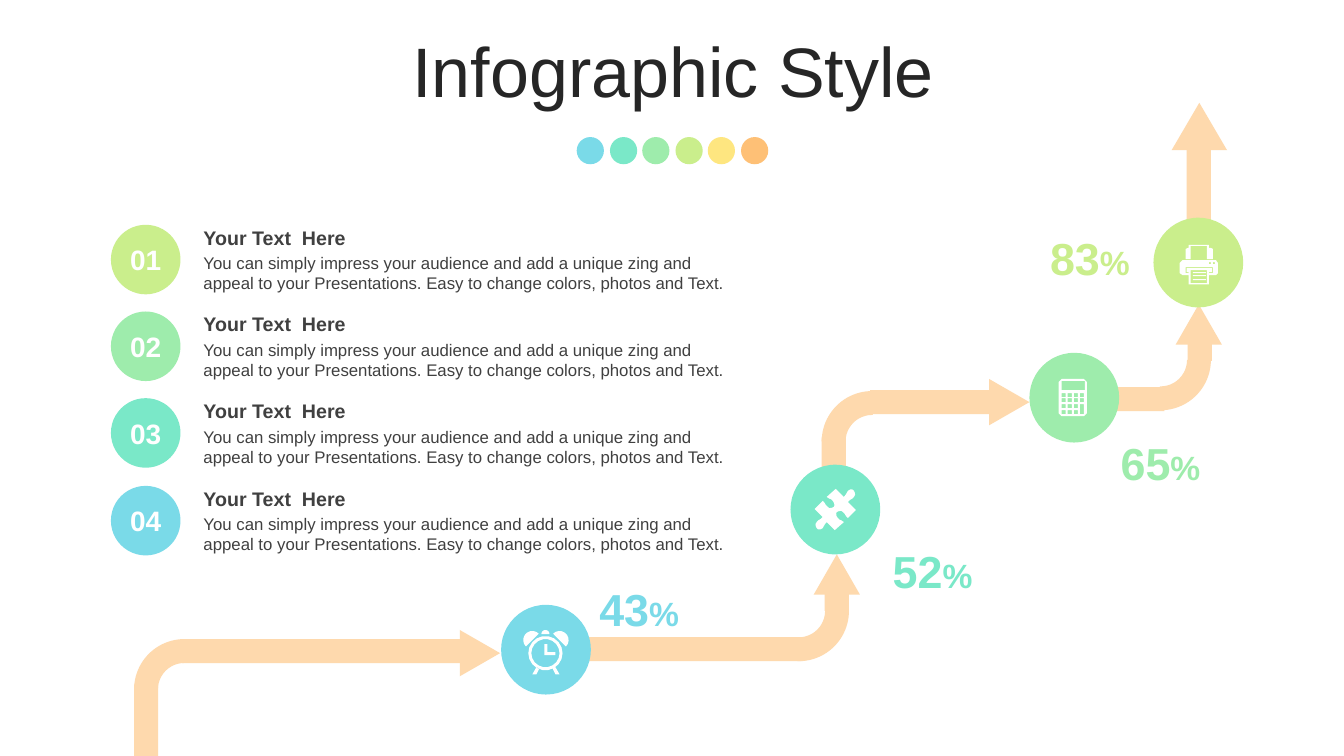
"""Build the infographic slide with a stepped arrow path and four text rows."""
from math import cos, radians, sin

from pptx import Presentation
from pptx.dml.color import RGBColor
from pptx.enum.shapes import MSO_SHAPE as Kind
from pptx.enum.text import MSO_ANCHOR as Anchor, MSO_AUTO_SIZE as Fit, PP_ALIGN as Align
from pptx.util import Pt

PX = 9144
BLUE, TEAL, GREEN, LIME = "7ADAE8", "7AE8C8", "9EECAC", "CAEE8C"
YELLOW, ORANGE, PEACH = "FEE680", "FEC076", "FED9AD"
WHITE, GREY, DARK = "FFFFFF", "404040", "262626"
HEAD = "Your Text  Here"
BODY = ("You can simply impress your audience and add a unique zing and "
        "appeal to your Presentations. Easy to change colors, photos and Text.")


def paint(shape, color):
    """Give a shape a flat fill without line or shadow."""
    shape.shadow.inherit = False
    shape.fill.solid()
    shape.fill.fore_color.rgb = RGBColor.from_string(color)
    shape.line.fill.background()


def draw(slide, kind, box, color, turn=0):
    """Add a flat preset shape."""
    shape = slide.shapes.add_shape(kind, *(n * PX for n in box))
    shape.rotation = turn
    paint(shape, color)
    return shape


def disc(slide, left, top, size, color):
    """Add a filled circle."""
    return draw(slide, Kind.OVAL, (left, top, size, size), color)


def bend(slide, left, top, turn=0):
    """Add a quarter turn of the path."""
    shape = draw(slide, Kind.BLOCK_ARC, (left, top, 100, 100), PEACH, turn)
    for i, value in enumerate((108, 162.854, 0.237)):
        shape.adjustments[i] = value


def write(frame, *parts, color=GREY, bold=False, align=Align.LEFT):
    """Fill a text frame with one paragraph of (text, size) parts."""
    frame.word_wrap = True
    para = frame.paragraphs[0]
    para.alignment = align
    for text, size in parts:
        run = para.add_run()
        run.text = text
        run.font.name = "Arial"
        run.font.size = Pt(size)
        run.font.bold = bold
        run.font.color.rgb = RGBColor.from_string(color)
    return para


def label(slide, box, *parts, **style):
    """Add a text box."""
    frame = slide.shapes.add_textbox(*(n * PX for n in box)).text_frame
    write(frame, *parts, **style)
    frame.auto_size = Fit.SHAPE_TO_FIT_TEXT


def arc(x, y, size, start=0, end=360):
    """Return points along a circle."""
    steps = (end - start) // 20
    turns = [radians(start + (end - start) * i / steps) for i in range(steps + 1)]
    return [(x + size * cos(a), y + size * sin(a)) for a in turns]


def quad(left, top, wide, high):
    """Return the corners of a box."""
    right, low = left + wide, top + high
    return [(left, top), (right, top), (right, low), (left, low)]


def trace(nodes):
    """Return points along line ends and cubic curves."""
    points = []
    for node in nodes:
        if len(node) == 2:
            points.append(node)
            continue
        curve = [points[-1], node[:2], node[2:4], node[4:]]
        for i in range(1, 4):
            t = i / 3
            mix = ((1 - t) ** 3, 3 * t * (1 - t) ** 2, 3 * t * t * (1 - t), t ** 3)
            points.append(tuple(sum(m * p[k] for m, p in zip(mix, curve))
                                for k in (0, 1)))
    return points


def icon(slide, loops):
    """Add a white outline made of closed loops."""
    loops = [[(x * PX, y * PX) for x, y in loop] for loop in loops]
    form = slide.shapes.build_freeform(*loops[0][0], scale=1.0)
    for i, loop in enumerate(loops):
        if i:
            form.move_to(*loop[0])
        form.add_line_segments(loop[1:], close=True)
    shape = form.convert_to_shape()
    paint(shape, WHITE)
    return shape


def clock(slide):
    """Draw the alarm clock."""
    hands = [(540, 639), (543, 639), (543, 647), (551, 647), (551, 650), (540, 650)]
    leg = [(535, 663), (532, 669), (528, 669), (532, 662)]
    icon(slide, [hands, arc(541, 648, 14), arc(541, 648, 17),
                 leg, [(1083 - x, y) for x, y in leg],
                 arc(528, 635, 9, 135, 315), arc(555, 635, 9, 225, 405),
                 arc(541, 629, 4, 180, 360)])


def adder(slide):
    """Draw the calculator."""
    keys = [quad(1053 + 6 * col, 390 + 17 * row // 3, 4, 4)
            for row in range(4) for col in range(4) if col < 3 or row < 2]
    case = [(1053, 376), (1075, 376), (1078, 379), (1078, 410), (1075, 413),
            (1053, 413), (1050, 410), (1050, 379)]
    icon(slide, [case, quad(1053, 378, 23, 9), quad(1071, 401, 4, 10), *keys])


def printer(slide):
    """Draw the printer."""
    lines = [quad(1183, y, 13, 1) for y in (270, 273, 277)]
    slot = [(1176, 265), (1176, 271), (1179, 271), (1179, 270), (1177, 270),
            (1177, 266), (1202, 266), (1202, 270), (1199, 270), (1199, 271),
            (1203, 271), (1203, 265)]
    case = [(1173, 258), (1206, 258), (1208, 261), (1208, 271), (1206, 273),
            (1199, 273), (1199, 282), (1179, 282), (1179, 273), (1173, 273),
            (1170, 271), (1170, 261)]
    feed = [(1179, 243), (1199, 243), (1199, 246), (1201, 246), (1203, 247),
            (1203, 257), (1197, 257), (1197, 244), (1181, 244), (1181, 257),
            (1176, 257), (1176, 247), (1178, 246), (1179, 246)]
    icon(slide, [*lines, quad(1181, 268, 16, 13), slot, quad(1203, 260, 2, 2),
                 quad(1199, 260, 2, 2), case, feed])


def puzzle(slide):
    """Draw the puzzle piece from one half and its half turn."""
    half = trace([(847, 487), (848, 489, 849, 491, 847, 493),
                  (845, 496, 843, 495, 841, 498), (849, 506), (841, 514),
                  (838, 512, 839, 510, 836, 508), (835, 506, 832, 507, 830, 508),
                  (829, 509, 829, 512, 831, 514), (833, 517, 834, 515, 837, 518),
                  (828, 526), (820, 518), (817, 521, 818, 521, 816, 524),
                  (814, 526, 811, 526, 810, 524)])
    mid_x, mid_y = 828.5, 505.5
    arms = [(x - mid_x, y - mid_y) for x, y in half]
    arms += [(-x, -y) for x, y in arms]
    tilt = cos(radians(45))
    loop = [(mid_x + (x + y) * tilt, mid_y + (y - x) * tilt) for x, y in arms]
    icon(slide, [loop]).rotation = 45


def main():
    """Build and save the slide."""
    deck = Presentation()
    deck.slide_width, deck.slide_height = 1333 * PX, 750 * PX
    slide = deck.slides.add_slide(deck.slide_layouts[5])

    title = slide.shapes.title
    title.left, title.top, title.width, title.height = (
        n * PX for n in (35, 37, 1266, 79))
    title.text_frame.auto_size = Fit.NONE
    title.text_frame.vertical_anchor = Anchor.MIDDLE
    para = write(title.text_frame, ("Infographic Style", 50), color=DARK,
                 align=Align.CENTER)
    para.line_spacing = 0.8

    for i, color in enumerate((BLUE, TEAL, GREEN, LIME, YELLOW, ORANGE)):
        disc(slide, (1145 + 65 * i) // 2, 136, 27, color)

    for bar in ((815, 434, 24, 31), (863, 387, 130, 24), (582, 632, 213, 24),
                (818, 578, 24, 28), (1177, 147, 24, 89), (133, 679, 24, 71),
                (181, 634, 276, 24), (1101, 384, 54, 24), (1178, 330, 24, 28)):
        draw(slide, Kind.RECTANGLE, bar, PEACH)
    for left, top, turn in ((815, 388, 0), (742, 556, 180), (133, 634, 0),
                            (1101, 307, 180)):
        bend(slide, left, top, turn)
    for left, top, turn in ((978, 379, 90), (807, 550, 0), (453, 628, 90),
                            (1166, 302, 0)):
        draw(slide, Kind.ISOSCELES_TRIANGLE, (left, top, 46, 40), PEACH, turn)
    draw(slide, Kind.ISOSCELES_TRIANGLE, (1162, 102, 55, 47), PEACH)

    for i, color in enumerate((LIME, GREEN, TEAL, BLUE)):
        drop = 259 * i // 3
        badge = disc(slide, 110, 223 + drop, 69, color).text_frame
        badge.margin_left = badge.margin_right = 0
        badge.vertical_anchor = Anchor.MIDDLE
        write(badge, (f"{i + 1:02}", 20), color=WHITE, bold=True,
              align=Align.CENTER)
        label(slide, (192, 219 + drop, 550, 34), (HEAD, 14), bold=True)
        label(slide, (192, 246 + drop, 550, 50), (BODY, 12))

    for left, top, color, rate, x, y, sign in (
            (497, 600, BLUE, "43", 582, 572, clock),
            (784, 461, TEAL, "52", 873, 534, puzzle),
            (1021, 350, GREEN, "65", 1099, 427, adder),
            (1144, 216, LIME, "83", 1029, 224, printer)):
        disc(slide, left, top, 89, color)
        sign(slide)
        label(slide, (x, y, 104, 64), (rate, 32), ("%", 24), color=color,
              bold=True, align=Align.CENTER)
    deck.save("out.pptx")


if __name__ == "__main__":
    main()
